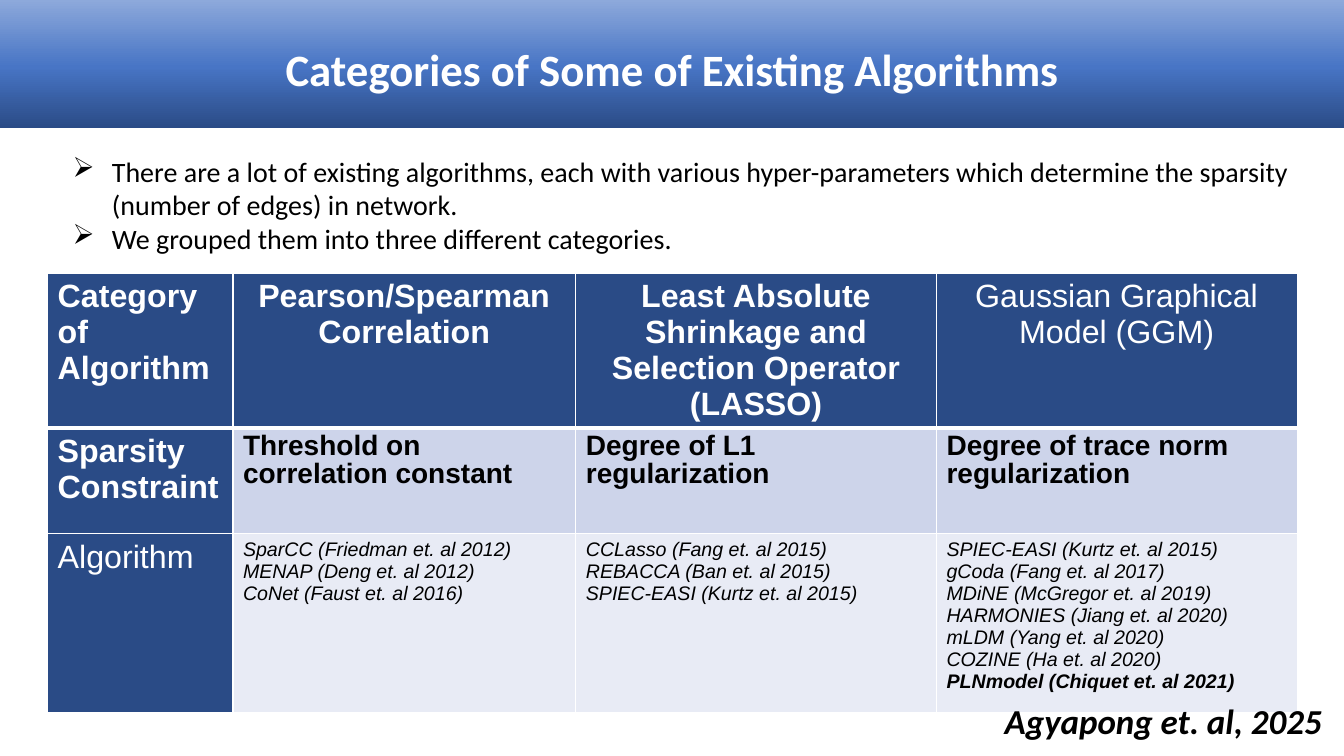
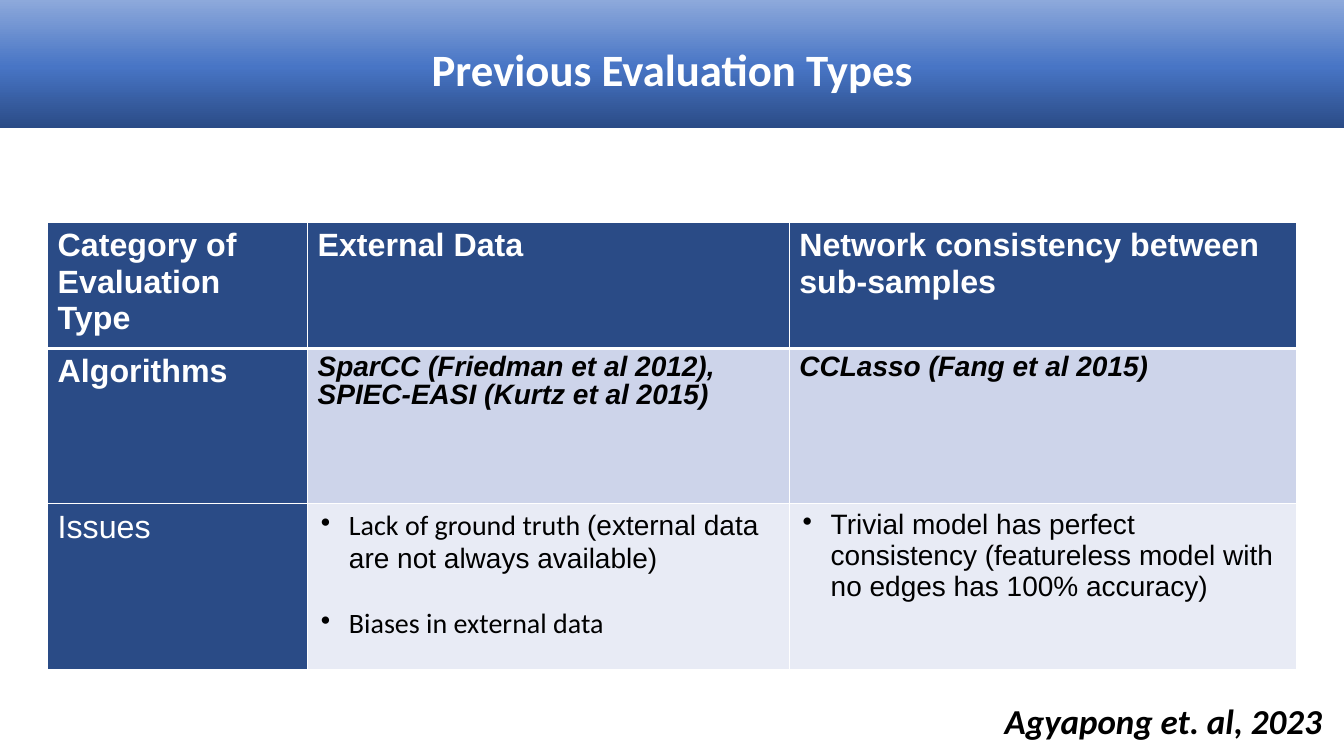
from copy import deepcopy
from lxml import etree
from pptx import Presentation
from pptx.dml import color
from pptx.enum import shapes, text
from pptx.oxml import ns
from pptx.util import Cm, Pt

NAVY, BLUE, PALE = "2A4B86", "4875C5", "8DA9DB"
WHITE, BLACK = "FFFFFF", "000000"
ROW_FILLS = [NAVY, "CDD4EA", "E8EBF5"]
BAND_STOPS = [(0, NAVY), (0.48, BLUE), (1, PALE)]

TITLE = dict(name="Calibri", size=32, bold=True, color=WHITE)
INTRO = dict(name="Calibri", size=20, color=BLACK)
CITE = dict(name="Calibri", size=25, bold=True, italic=True, color=BLACK)
HEAD = dict(name="Arial", size=23, bold=True, color=WHITE)
KEY = dict(name="Arial", size=20, bold=True, color=BLACK)
KEY_ITALIC = dict(KEY, italic=True)
PAPER = dict(name="Arial", size=14, italic=True, color=BLACK)
ISSUE = dict(name="Arial", size=20, color=BLACK)

REGULAR, BOLD, CALIBRI = dict(bold=False), dict(bold=True), dict(name="Calibri")
CENTER = dict(alignment=text.PP_ALIGN.CENTER)
TIGHT = dict(line_spacing=0.9)
ARROW_BULLET = ("➢", 1.27, 0.99)
DOT_BULLET = ("•", 0.79, 0.71)

SLIDES = [
    dict(
        title="Categories of Some of Existing Algorithms",
        intro=[
            "There are a lot of existing algorithms, each with various hyper-parameters "
            "which determine the sparsity (number of edges) in network.",
            "We grouped them into three different categories.",
        ],
        cite="Agyapong et. al, 2025",
        top=6.88, cols=[4.67, 8.64, 9.09, 9.09], rows=[3.89, 2.67, 4.52],
        head_para=CENTER, key=KEY, detail=PAPER, detail_para={}, bullet=None,
        cells=[
            [["Category of Algorithm"],
             ["Pearson/Spearman Correlation"],
             ["Least Absolute Shrinkage and Selection Operator (LASSO)"],
             [[("Gaussian Graphical Model (GGM)", REGULAR)]]],
            [["Sparsity Constraint"],
             ["Threshold on correlation constant"],
             ["Degree of L1 regularization"],
             ["Degree of trace norm regularization"]],
            [[[("Algorithm", REGULAR)]],
             ["SparCC (Friedman et. al 2012)",
              "MENAP (Deng et. al 2012)",
              "CoNet (Faust et. al 2016)"],
             ["CCLasso (Fang et. al 2015)",
              "REBACCA (Ban et. al 2015)",
              "SPIEC-EASI (Kurtz et. al 2015)"],
             ["SPIEC-EASI (Kurtz et. al 2015)",
              "gCoda (Fang et. al 2017)",
              "MDiNE (McGregor et. al 2019)",
              "HARMONIES (Jiang et. al 2020)",
              "mLDM (Yang et. al 2020)",
              "COZINE (Ha et. al 2020)",
              [("PLNmodel (Chiquet et. al 2021)", BOLD)]]],
        ],
    ),
    dict(
        title="Previous Evaluation Types",
        intro=[],
        cite="Agyapong et. al, 2023",
        top=5.61, cols=[6.55, 12.14, 12.78], rows=[2.97, 3.91, 4.19],
        head_para={}, key=KEY_ITALIC, detail=ISSUE,
        detail_para=dict(space_after=Pt(23)), bullet=DOT_BULLET,
        cells=[
            [["Category of Evaluation Type"],
             ["External Data"],
             ["Network consistency between sub-samples"]],
            [["Algorithms"],
             ["SparCC (Friedman et al 2012),", "SPIEC-EASI (Kurtz et al 2015)"],
             ["CCLasso (Fang et al 2015)"]],
            [[[("Issues", REGULAR)]],
             [[("Lack of ground truth ", CALIBRI),
               ("(external data are not always available)", {})],
              [("Biases in external data", CALIBRI)]],
             ["Trivial model has perfect consistency "
              "(featureless model with no edges has 100% accuracy)"]],
        ],
    ),
]


def rgb(value):
    return color.RGBColor.from_string(value)


def set_attrs(obj, values):
    for key, value in values.items():
        setattr(obj, key, value)


def set_font(font, style):
    for key, value in style.items():
        if key == "color":
            font.color.rgb = rgb(value)
        else:
            setattr(font, key, Pt(value) if key == "size" else value)


def set_bullet(p, bullet):
    char, left, hanging = bullet
    pPr = p._p.get_or_add_pPr()
    pPr.set("marL", str(Cm(left)))
    pPr.set("indent", str(-Cm(hanging)))
    etree.SubElement(pPr, ns.qn("a:buChar")).set("char", char)


def write(tf, paragraphs, style, para={}, bullet=None):
    for i, runs in enumerate(paragraphs):
        p = tf.add_paragraph() if i else tf.paragraphs[0]
        last = i == len(paragraphs) - 1
        set_attrs(p, {k: v for k, v in para.items() if not (last and k == "space_after")})
        if bullet:
            set_bullet(p, bullet)
        for words, extra in [(runs, {})] if isinstance(runs, str) else runs:
            r = p.add_run()
            r.text = words
            set_font(r.font, {**style, **extra})


def add_text(slide, box, paragraphs, style, para={}, bullet=None, **frame):
    tf = slide.shapes.add_textbox(*map(Cm, box)).text_frame
    set_attrs(tf, dict(word_wrap=True, **frame))
    write(tf, paragraphs, style, para, bullet)


def add_band(slide):
    sp = slide.shapes.add_shape(shapes.MSO_SHAPE.RECTANGLE, 0, 0, prs.slide_width, Cm(3.23))
    sp.shadow.inherit = False
    sp.line.fill.background()
    sp.fill.gradient()
    sp.fill.gradient_angle = 90
    stops = sp._element.spPr.find(ns.qn("a:gradFill")).find(ns.qn("a:gsLst"))
    stops.append(deepcopy(stops[0]))
    for stop, (position, value) in zip(sp.fill.gradient_stops, BAND_STOPS):
        stop.position = position
        stop.color.rgb = rgb(value)


def set_borders(cell, row):
    tcPr = cell._tc.get_or_add_tcPr()
    thick = {0: "B", 1: "T"}.get(row)
    for i, side in enumerate("LRTB"):
        ln = etree.Element(ns.qn("a:ln" + side), w=str(Pt(3 if side == thick else 1)))
        fill = etree.SubElement(ln, ns.qn("a:solidFill"))
        etree.SubElement(fill, ns.qn("a:srgbClr")).set("val", WHITE)
        tcPr.insert(i, ln)


def add_grid(slide, data):
    cols, rows = data["cols"], data["rows"]
    box = (1.2, data["top"], sum(cols), sum(rows))
    table = slide.shapes.add_table(len(rows), len(cols), *map(Cm, box)).table
    set_attrs(table, dict(first_row=False, horz_banding=False))
    for column, width in zip(table.columns, cols):
        column.width = Cm(width)
    body = {1: (data["key"], TIGHT), 2: (data["detail"], data["detail_para"], data["bullet"])}
    for r, row in enumerate(data["cells"]):
        table.rows[r].height = Cm(rows[r])
        for c, paragraphs in enumerate(row):
            cell = table.cell(r, c)
            cell.fill.solid()
            cell.fill.fore_color.rgb = rgb(ROW_FILLS[r] if c else NAVY)
            set_borders(cell, r)
            head = (HEAD, data["head_para"] if c else {})
            write(cell.text_frame, paragraphs, *(body[r] if r and c else head))


def build(data):
    slide = prs.slides.add_slide(prs.slide_layouts[6])
    add_grid(slide, data)
    add_band(slide)
    add_text(slide, (1.22, 0.3, 31.45, 3.05), [data["title"]], TITLE, {**CENTER, **TIGHT},
             vertical_anchor=text.MSO_ANCHOR.MIDDLE)
    if data["intro"]:
        add_text(slide, (1.3, 3.76, 31.72, 2.79), data["intro"], INTRO, bullet=ARROW_BULLET)
    add_text(slide, (25.07, 17.37, 8.7, 1.45), [data["cite"]], CITE,
             margin_top=Cm(0.25), margin_bottom=Cm(0.25))


prs = Presentation()
set_attrs(prs, dict(slide_width=Cm(33.87), slide_height=Cm(19.05)))
for data in SLIDES:
    build(data)
prs.save("out.pptx")
